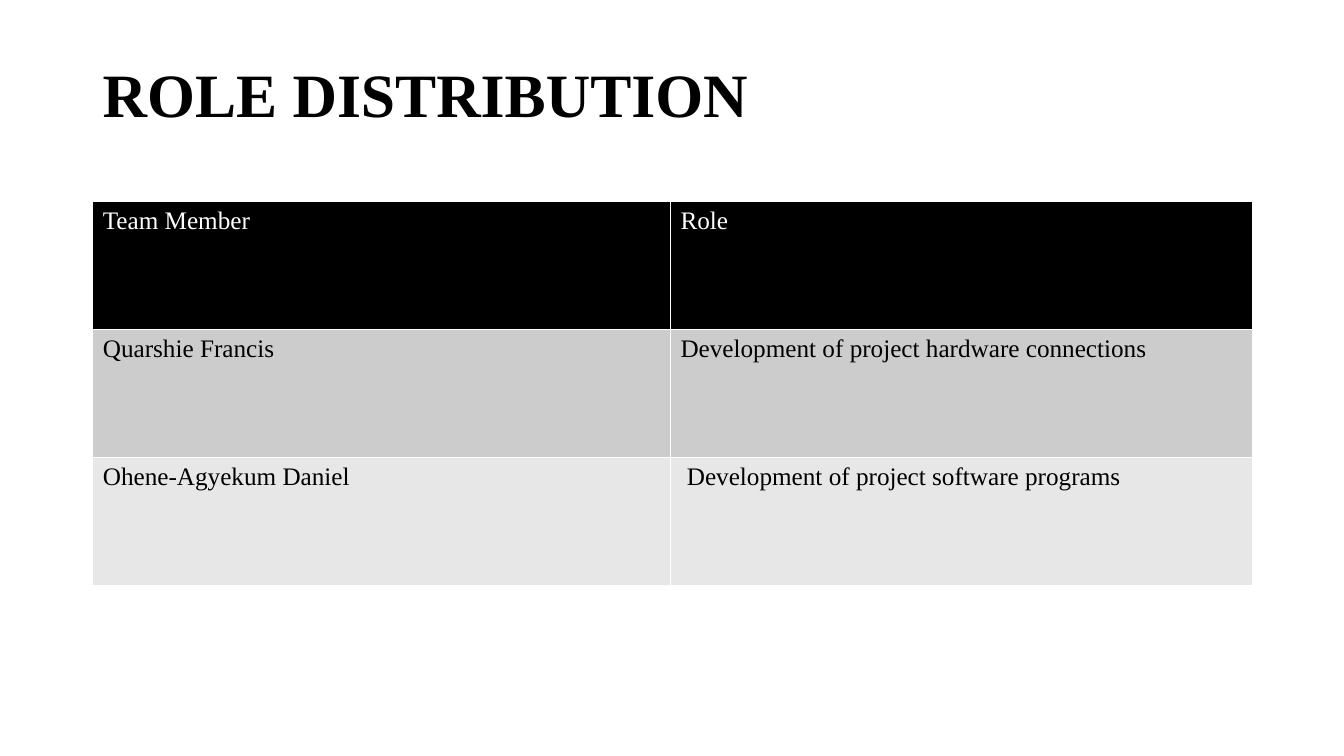
import pptx
import pptx.dml.color
import pptx.enum.text
import pptx.oxml
import pptx.oxml.ns
import pptx.util

WIDTH, HEIGHT = 13.33, 7.5
LEFT, CONTENT_WIDTH = 0.92, 11.5
FONT = "Times New Roman"
BLACK, WHITE = "000000", "FFFFFF"

ROLES = [
    ("Team Member", "Role"),
    ("Quarshie Francis", "Development of project hardware connections"),
    ("Ohene-Agyekum Daniel", " Development of project software programs"),
]
# Fill and text colour of each row
ROW_COLOURS = [(BLACK, WHITE), ("CCCCCC", BLACK), ("E7E7E7", BLACK)]
COLUMN_WIDTHS = (5.73, 5.77)
ROW_HEIGHT = 1.27


def inches(*lengths):
    return [pptx.util.Inches(length) for length in lengths]


def rgb(colour):
    return pptx.dml.color.RGBColor.from_string(colour)


def add_run(p, text, size, colour, bold=False):
    r = p.add_run()
    r.text = text
    r.font.name = FONT
    r.font.size = pptx.util.Pt(size)
    r.font.bold = bold
    r.font.color.rgb = rgb(colour)


def add_title(s, text):
    sp = s.shapes.add_textbox(*inches(LEFT, 0.24, CONTENT_WIDTH, 1.45))
    tf = sp.text_frame
    tf.word_wrap = True
    tf.vertical_anchor = pptx.enum.text.MSO_ANCHOR.MIDDLE
    p = tf.paragraphs[0]
    p.line_spacing = 0.9
    add_run(p, text, 44, BLACK, bold=True)


def set_borders(cell, colour, points):
    tc_pr = cell._tc.get_or_add_tcPr()
    # Border lines come before the fill in the cell properties
    for i, side in enumerate(("lnL", "lnR", "lnT", "lnB")):
        tc_pr.insert(i, pptx.oxml.parse_xml(
            f'<a:{side} {pptx.oxml.ns.nsdecls("a")} w="{pptx.util.Pt(points)}">'
            f'<a:solidFill><a:srgbClr val="{colour}"/></a:solidFill></a:{side}>'))


def add_role_table(s, rows):
    frame = s.shapes.add_table(
        len(rows), len(COLUMN_WIDTHS),
        *inches(LEFT, 2, CONTENT_WIDTH, ROW_HEIGHT * len(rows)))
    table = frame.table
    for column, width in zip(table.columns, inches(*COLUMN_WIDTHS)):
        column.width = width
    for row, texts, (fill, colour) in zip(table.rows, rows, ROW_COLOURS):
        row.height = pptx.util.Inches(ROW_HEIGHT)
        for cell, text in zip(row.cells, texts):
            cell.fill.solid()
            cell.fill.fore_color.rgb = rgb(fill)
            set_borders(cell, WHITE, 1)
            add_run(cell.text_frame.paragraphs[0], text, 18, colour)


def main():
    prs = pptx.Presentation()
    prs.slide_width, prs.slide_height = inches(WIDTH, HEIGHT)
    s = prs.slides.add_slide(prs.slide_layouts[6])
    s.background.fill.solid()
    s.background.fill.fore_color.rgb = rgb(WHITE)

    add_title(s, "ROLE DISTRIBUTION")
    add_role_table(s, ROLES)
    prs.save("out.pptx")


if __name__ == "__main__":
    main()
